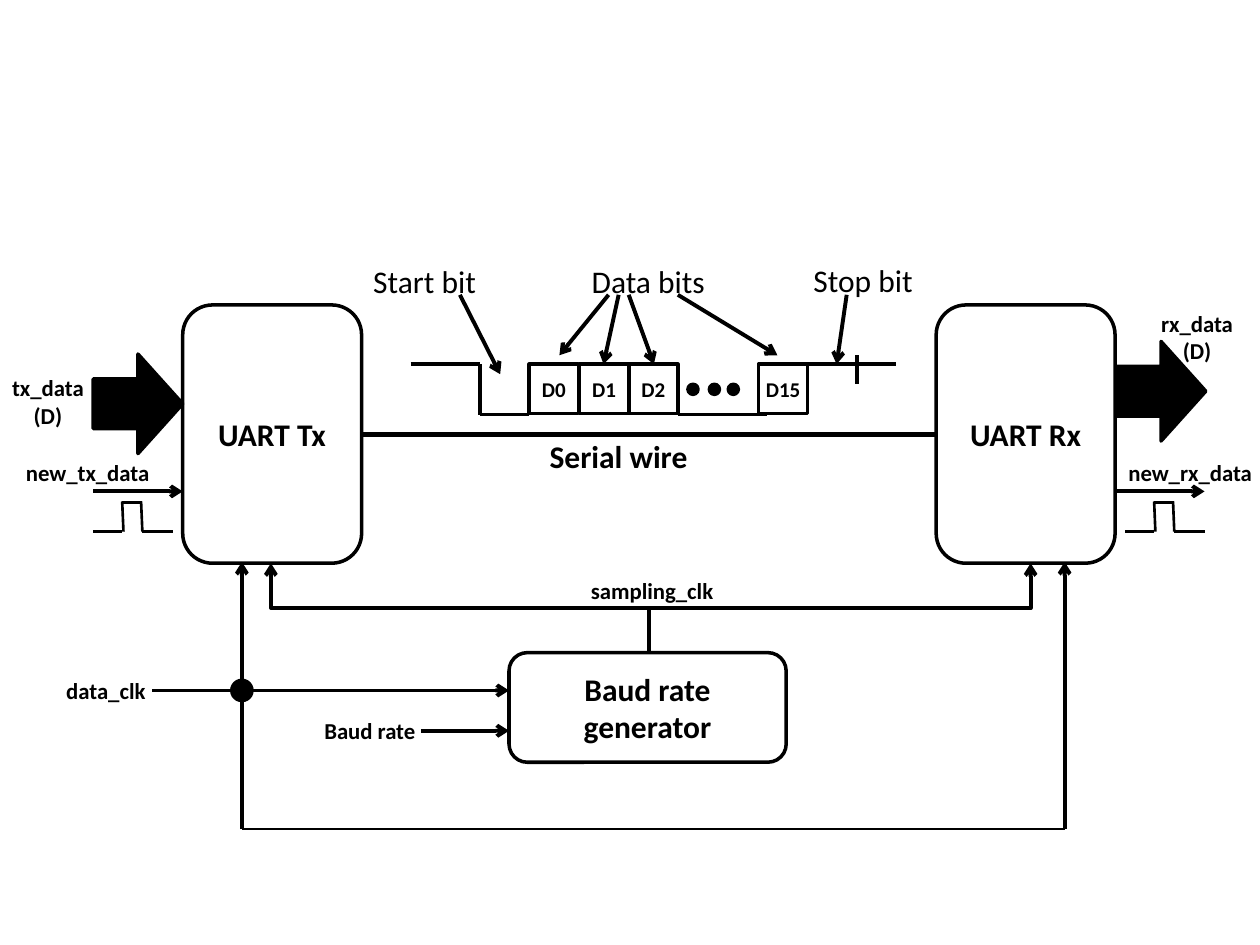
from dataclasses import dataclass
from pptx import Presentation, oxml
from pptx import util as u
from pptx.dml import color
from pptx.enum import shapes, text
from pptx.oxml import ns

Kind = shapes.MSO_SHAPE
Wire = shapes.MSO_CONNECTOR


@dataclass
class Theme:
    ink: str = "000000"
    paper: str = "FFFFFF"
    font: str = "Calibri"
    head: int = 18
    label: int = 13
    bit: int = 12
    edge: float = 2
    fine: float = 0.75
    thin: float = 1.5
    mid: float = 2.25
    thick: float = 3


class Sketch:
    def __init__(self, slide, theme):
        self.slide = slide
        self.theme = theme

    def letter(self, frame, words, size, bold=True):
        frame.text = words
        for para in frame.paragraphs:
            para.alignment = text.PP_ALIGN.CENTER
            for run in para.runs:
                run.font.name = self.theme.font
                run.font.size = u.Pt(size)
                run.font.bold = bold
                run.font.color.rgb = color.RGBColor.from_string(self.theme.ink)

    def shape(self, kind, x, y, w, h, fill=None, words="", size=None, pad=0.1):
        item = self.slide.shapes.add_shape(kind, *map(u.Inches, (x, y, w, h)))
        item.shadow.inherit = False
        if fill:
            item.fill.solid()
            item.fill.fore_color.rgb = color.RGBColor.from_string(fill)
        else:
            item.fill.background()
        item.line.color.rgb = color.RGBColor.from_string(self.theme.ink)
        item.line.width = u.Pt(self.theme.edge)
        if words:
            frame = item.text_frame
            frame.word_wrap = pad > 0
            frame.margin_left = frame.margin_right = u.Inches(pad)
            frame.vertical_anchor = text.MSO_ANCHOR.MIDDLE
            self.letter(frame, words, size)

    def label(self, words, x, y, w, h, size, bold=True):
        box = self.slide.shapes.add_textbox(*map(u.Inches, (x, y, w, h)))
        frame = box.text_frame
        frame.word_wrap = False
        frame.auto_size = text.MSO_AUTO_SIZE.SHAPE_TO_FIT_TEXT
        self.letter(frame, words, size, bold)

    def line(self, x1, y1, x2, y2, width, arrow=False, kind=Wire.STRAIGHT):
        item = self.slide.shapes.add_connector(kind, *map(u.Inches, (x1, y1, x2, y2)))
        item.line.color.rgb = color.RGBColor.from_string(self.theme.ink)
        item.line.width = u.Pt(width)
        props = item._element.spPr
        if arrow:
            tip = oxml.parse_xml(f'<a:tailEnd {ns.nsdecls("a")} type="arrow"/>')
            props.find(ns.qn("a:ln")).append(tip)
        props.append(oxml.parse_xml(f'<a:effectLst {ns.nsdecls("a")}/>'))
        return item

    def arrow(self, x1, y1, x2, y2):
        self.line(x1, y1, x2, y2, self.theme.mid, True)

    def riser(self, x1, y1, x2, y2):
        cx, cy = (x1 + x2) / 2, (y1 + y2) / 2
        dx, dy = (y1 - y2) / 2, (x2 - x1) / 2
        item = self.line(cx - dx, cy - dy, cx + dx, cy + dy,
                         self.theme.mid, True, Wire.ELBOW)
        item._element.spPr.find(ns.qn("a:xfrm")).set("rot", "16200000")

    def pulse(self, x):
        low, high = 4.22, 3.98
        for a, b, c, d in ((0, low, 0.23, low), (0.23, high, 0.24, low),
                           (0.38, high, 0.39, low), (0.39, low, 0.63, low),
                           (0.23, 3.99, 0.39, 3.99)):
            self.line(x + a, b, x + c, d, self.theme.thin)


deck = Presentation()
deck.slide_width, deck.slide_height = u.Inches(10), u.Inches(7.5)
theme = Theme()
art = Sketch(deck.slides.add_slide(deck.slide_layouts[6]), theme)

top, base, cell = 2.89, 3.29, 0.39
art.line(2.86, 3.45, 7.43, 3.45, theme.thick)
for ends in ((3.26, top, 3.81, top), (3.81, top, 3.81, base),
             (4.2, base, 3.81, base), (6.41, top, 7.11, top),
             (5.38, base, 6.09, base), (6.8, 2.82, 6.8, 3.05)):
    art.line(*ends, theme.mid)
for name, x in (("D0", 4.2), ("D1", 4.6), ("D2", 4.99), ("D15", 6.02)):
    art.line(x, top, x, base, theme.fine)
    art.shape(Kind.RECTANGLE, x, top, cell, cell, None, name, theme.bit, 0)
for x in (5.46, 5.63, 5.78):
    art.shape(Kind.OVAL, x, 3.05, 0.08, 0.08, theme.ink)

for words, x, y, w in (("Start bit", 2.86, 2.03, 1.02),
                       ("Data bits", 4.59, 2.03, 1.11),
                       ("Stop bit", 6.35, 2.02, 1)):
    art.label(words, x, y, w, 0.4, theme.head, False)
for x1, x2, y2 in ((3.65, 3.97, 2.97), (4.83, 4.44, 2.82), (4.91, 4.79, top),
                   (4.99, 5.19, top), (5.38, 6.17, 2.82), (6.72, 6.64, top)):
    art.arrow(x1, 2.34, x2, y2)

for words, x in (("UART Tx", 1.45), ("UART Rx", 7.43)):
    art.shape(Kind.ROUNDED_RECTANGLE, x, 2.42, 1.42, 2.05, None, words, theme.head)
art.shape(Kind.ROUNDED_RECTANGLE, 4.04, 5.18, 2.2, 0.87, theme.paper,
          "Baud rate generator", theme.head)
for x in (2.15, 8.18):
    art.riser(5.15, 5.18, x, 4.47)

for x, y, wire, wave in ((0.74, 2.81, 0.74, 0.74), (8.86, 2.71, 8.85, 8.93)):
    art.shape(Kind.RIGHT_ARROW, x, y, 0.71, 0.79, theme.ink)
    art.arrow(wire, 3.9, wire + 0.71, 3.9)
    art.pulse(wave)

art.arrow(3.34, 5.8, 4.04, 5.8)
art.arrow(1.21, 5.48, 4.04, 5.48)
art.line(8.45, 6.58, 1.92, 6.58, theme.thin)
for x in (1.92, 8.45):
    art.arrow(x, 6.58, x, 4.46)
art.shape(Kind.OVAL, 1.84, 5.4, 0.16, 0.16, theme.ink)

for words, x, y, w, h in (("tx_data\n(D)", -0.01, 2.92, 0.78, 0.54),
                          ("rx_data\n(D)", 9.11, 2.41, 0.78, 0.54),
                          ("new_tx_data", 0.1, 3.59, 1.19, 0.32),
                          ("new_rx_data", 8.85, 3.59, 1.19, 0.32),
                          ("Baud rate", 2.47, 5.64, 0.93, 0.32),
                          ("data_clk", 0.42, 5.32, 0.84, 0.32),
                          ("sampling_clk", 4.58, 4.53, 1.19, 0.32)):
    art.label(words, x, y, w, h, theme.label)
art.label("Serial wire", 4.26, 3.42, 1.3, 0.4, theme.head)

deck.save("out.pptx")
